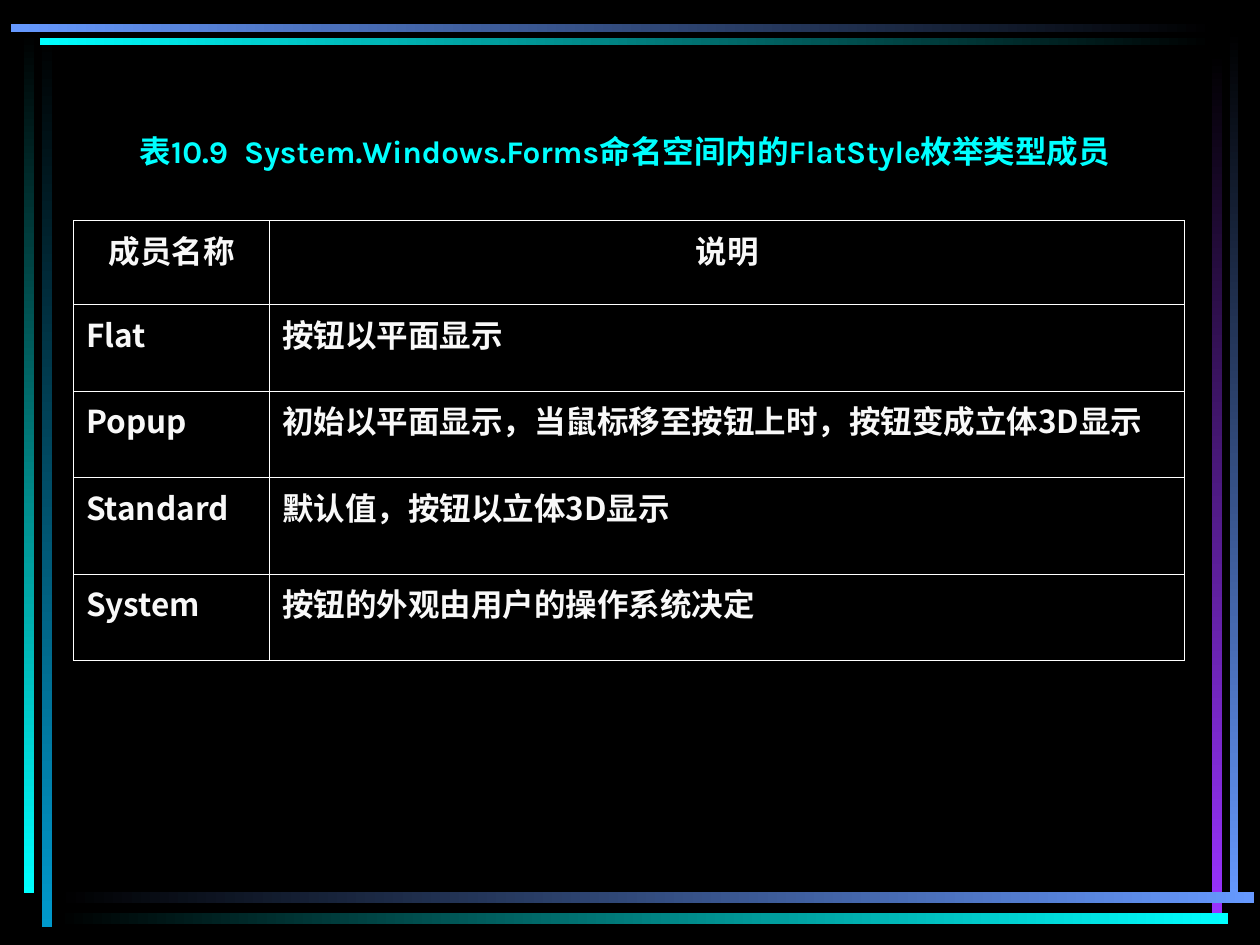
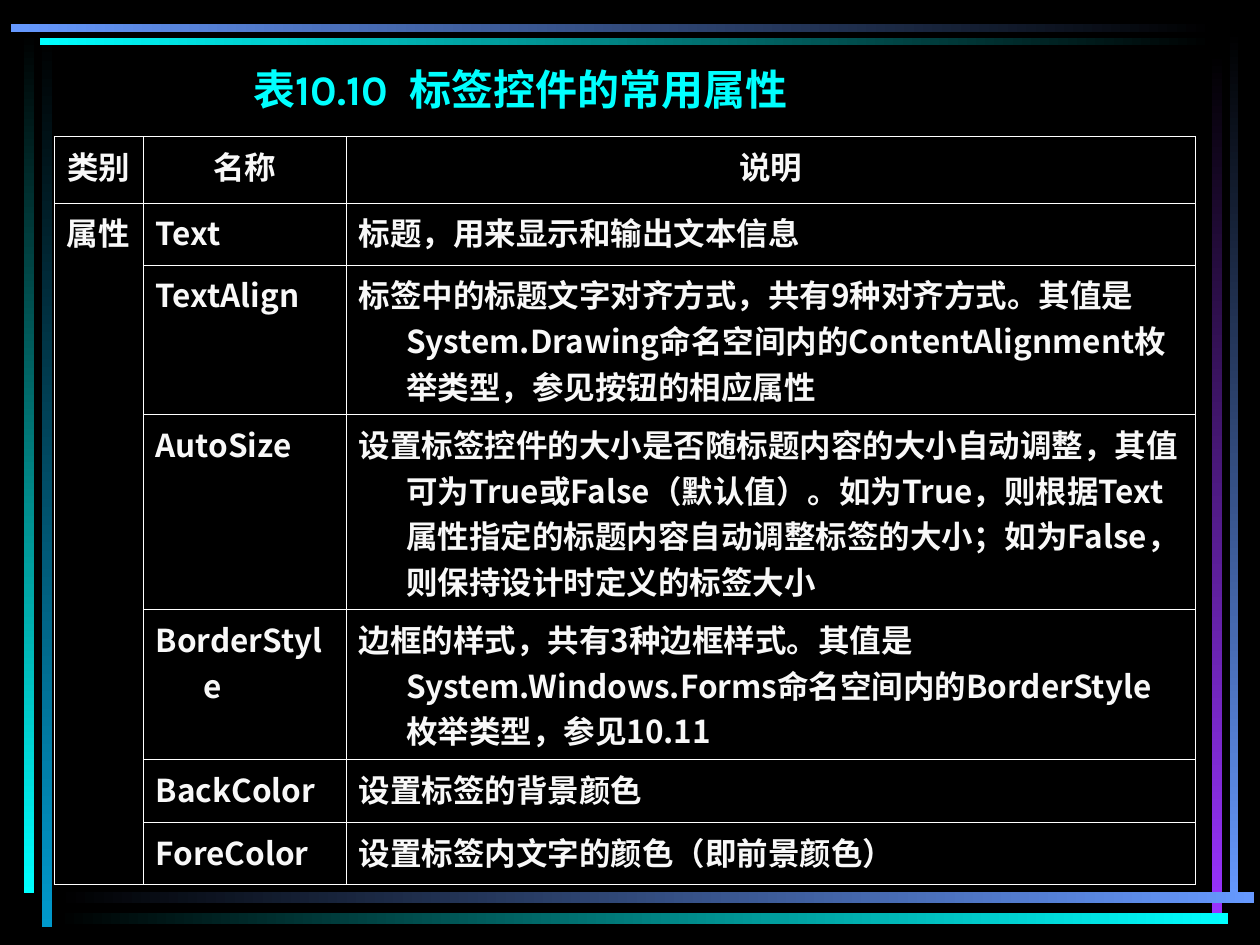
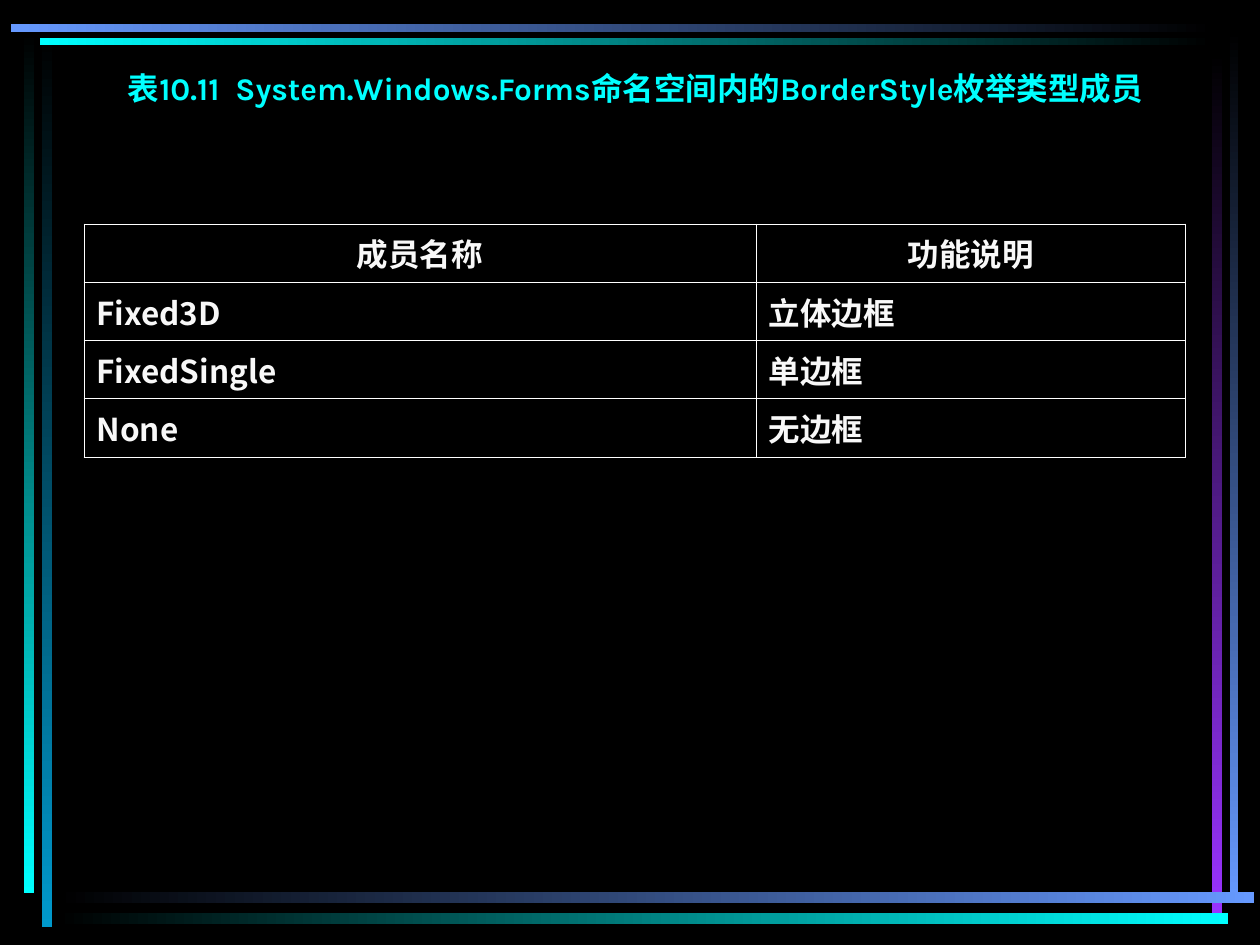
from dataclasses import dataclass

from pptx import Presentation
from pptx import util as u
from pptx.dml.color import RGBColor
from pptx.enum import shapes, text
from pptx.oxml import parse_xml
from pptx.oxml.ns import nsdecls


@dataclass(frozen=True)
class Theme:
    black: str = "000000"
    cyan: str = "00FFFF"
    teal: str = "0099CC"
    blue: str = "6699FF"
    purple: str = "9933FF"
    white: str = "F8F8F8"
    border: str = "FFFFFF"
    border_width: float = 0.45
    title_font: str = "Karla"
    body_font: str = "Noto Sans CJK SC"
    body_size: int = 18
    large_title: int = 24
    hanging: int = 27


theme = Theme()


def write(para, words, font, size, color):
    """Add one bold span, with the body font for Chinese characters."""
    span = para.add_run()
    span.text = words
    for name, value in {"name": font, "size": u.Pt(size), "bold": True}.items():
        setattr(span.font, name, value)
    span.font.color.rgb = RGBColor.from_string(color)
    span.font._element.append(
        parse_xml(f'<a:ea {nsdecls("a")} typeface="{theme.body_font}"/>'))


def draw_borders(cell):
    """Give all four sides of a cell the same thin line."""
    properties = cell._tc.get_or_add_tcPr()
    for side in "LRTB":
        properties.append(parse_xml(
            f'<a:ln{side} {nsdecls("a")} w="{u.Pt(theme.border_width)}"><a:solidFill>'
            f'<a:srgbClr val="{theme.border}"/></a:solidFill></a:ln{side}>'))


# Gradient bars of the frame: left, top, width, height, first and last colour
bars = [
    (24, 20, 6, 510, theme.black, theme.teal),
    (13.5, 18, 6, 492.5, theme.black, theme.cyan),
    (702.7, 17, 5, 499, theme.black, theme.blue),
    (692.5, 30, 6, 492, theme.black, theme.purple),
    (32.5, 510, 684, 6, theme.black, theme.blue),
    (32, 522, 670, 6, theme.black, theme.cyan),
    (23, 21.5, 671, 4.5, theme.cyan, theme.black),
    (6, 13.5, 688, 5, theme.blue, theme.black),
]

# Title and table of each slide
contents = [
    {
        "title": "表10.9  System.Windows.Forms命名空间内的FlatStyle枚举类型成员",
        "title_at": (42, 72, 630, 40),
        "title_size": theme.body_size,
        "title_format": {"alignment": text.PP_ALIGN.CENTER},
        "table_at": (42, 126),
        "columns": [112, 523],
        "heights": [48, 49.5, 49.5, 55, 49.5],
        "rows": [
            ("成员名称", "说明"),
            ("Flat", "按钮以平面显示"),
            ("Popup", "初始以平面显示，当鼠标移至按钮上时，按钮变成立体3D显示"),
            ("Standard", "默认值，按钮以立体3D显示"),
            ("System", "按钮的外观由用户的操作系统决定"),
        ],
    },
    {
        "title": "表10.10  标签控件的常用属性",
        "title_at": (138, 36, 372, 33),
        "title_size": theme.large_title,
        "title_format": {"line_spacing": 0.9, "space_before": u.Pt(6)},
        "table_at": (31, 78),
        "columns": [50.8, 116, 485.4],
        "heights": [38, 35.5, 85.5, 111.5, 85.5, 36, 35.5],
        "merge": ((1, 0), (6, 0)),
        "rows": [
            ("类别", "名称", "说明"),
            ("属性", "Text", "标题，用来显示和输出文本信息"),
            ("", "TextAlign", "标签中的标题文字对齐方式，共有9种对齐方式。其值是"
             "System.Drawing命名空间内的ContentAlignment枚举类型，参见按钮的相应属性"),
            ("", "AutoSize", "设置标签控件的大小是否随标题内容的大小自动调整，其值可为"
             "True或False（默认值）。如为True，则根据Text属性指定的标题内容自动调整"
             "标签的大小；如为False，则保持设计时定义的标签大小"),
            ("", "BorderStyle", "边框的样式，共有3种边框样式。其值是"
             "System.Windows.Forms命名空间内的BorderStyle枚举类型，参见10.11"),
            ("", "BackColor", "设置标签的背景颜色"),
            ("", "ForeColor", "设置标签内文字的颜色（即前景颜色）"),
        ],
    },
    {
        "title": "表10.11  System.Windows.Forms命名空间内的BorderStyle枚举类型成员",
        "title_at": (48, 36, 630, 22),
        "title_size": theme.body_size,
        "title_format": {"alignment": text.PP_ALIGN.CENTER},
        "table_at": (48, 128),
        "columns": [384, 245.5],
        "heights": [33.3] * 4,
        "rows": [
            ("成员名称", "功能说明"),
            ("Fixed3D", "立体边框"),
            ("FixedSingle", "单边框"),
            ("None", "无边框"),
        ],
    },
]

deck = Presentation()
deck.slide_width, deck.slide_height = u.Pt(720), u.Pt(540)
master = deck.slide_master
master.background.fill.solid()
master.background.fill.fore_color.rgb = RGBColor.from_string(theme.black)
pages = [deck.slides.add_slide(deck.slide_layouts[6]) for _ in contents]

# Frame bars, made on the first page and moved to the master that all pages share
for number, (left, top, width, height, *colors) in enumerate(bars, start=20):
    bar = pages[0].shapes.add_shape(
        shapes.MSO_SHAPE.RECTANGLE, *map(u.Pt, (left, top, width, height)))
    bar.shadow.inherit = False
    bar.line.fill.background()
    bar.fill.gradient()
    bar.fill.gradient_angle = 270 if height > width else 0
    for stop, color in zip(bar.fill.gradient_stops, colors):
        stop.color.rgb = RGBColor.from_string(color)
    bar.element.nvSpPr.cNvPr.id = number
    master.shapes.element.append(bar.element)

for page, content in zip(pages, contents):
    # Title
    box = page.shapes.add_textbox(*map(u.Pt, content["title_at"]))
    box.text_frame.word_wrap = True
    para = box.text_frame.paragraphs[0]
    for name, value in content["title_format"].items():
        setattr(para, name, value)
    write(para, content["title"], theme.title_font, content["title_size"], theme.cyan)

    # Table grid
    columns, heights = content["columns"], content["heights"]
    size = sum(columns), sum(heights)
    table = page.shapes.add_table(
        len(heights), len(columns), *map(u.Pt, (*content["table_at"], *size))).table
    table.horz_banding = False
    for column, width in zip(table.columns, columns):
        column.width = u.Pt(width)
    for row, height in zip(table.rows, heights):
        row.height = u.Pt(height)

    # Table cells
    for row_index, row in enumerate(content["rows"]):
        for column_index, words in enumerate(row):
            cell = table.cell(row_index, column_index)
            draw_borders(cell)
            cell.fill.background()
            if not words:
                continue
            para = cell.text_frame.paragraphs[0]
            para.alignment = text.PP_ALIGN.LEFT if row_index else text.PP_ALIGN.CENTER
            indent = u.Pt(theme.hanging)
            for name, value in {"marL": indent, "indent": -indent}.items():
                para._p.get_or_add_pPr().set(name, str(value))
            write(para, words, theme.body_font, theme.body_size, theme.white)
    if "merge" in content:
        first, last = content["merge"]
        table.cell(*first).merge(table.cell(*last))

deck.save("out.pptx")
